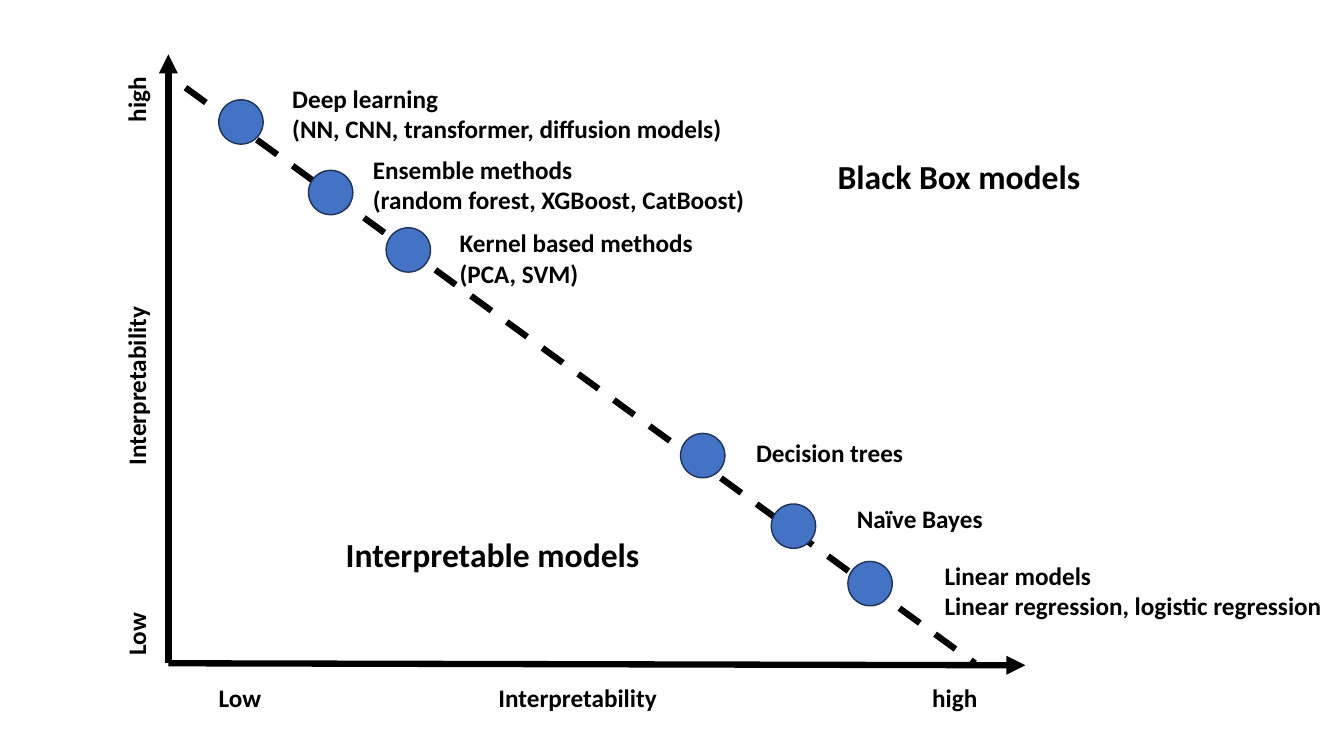
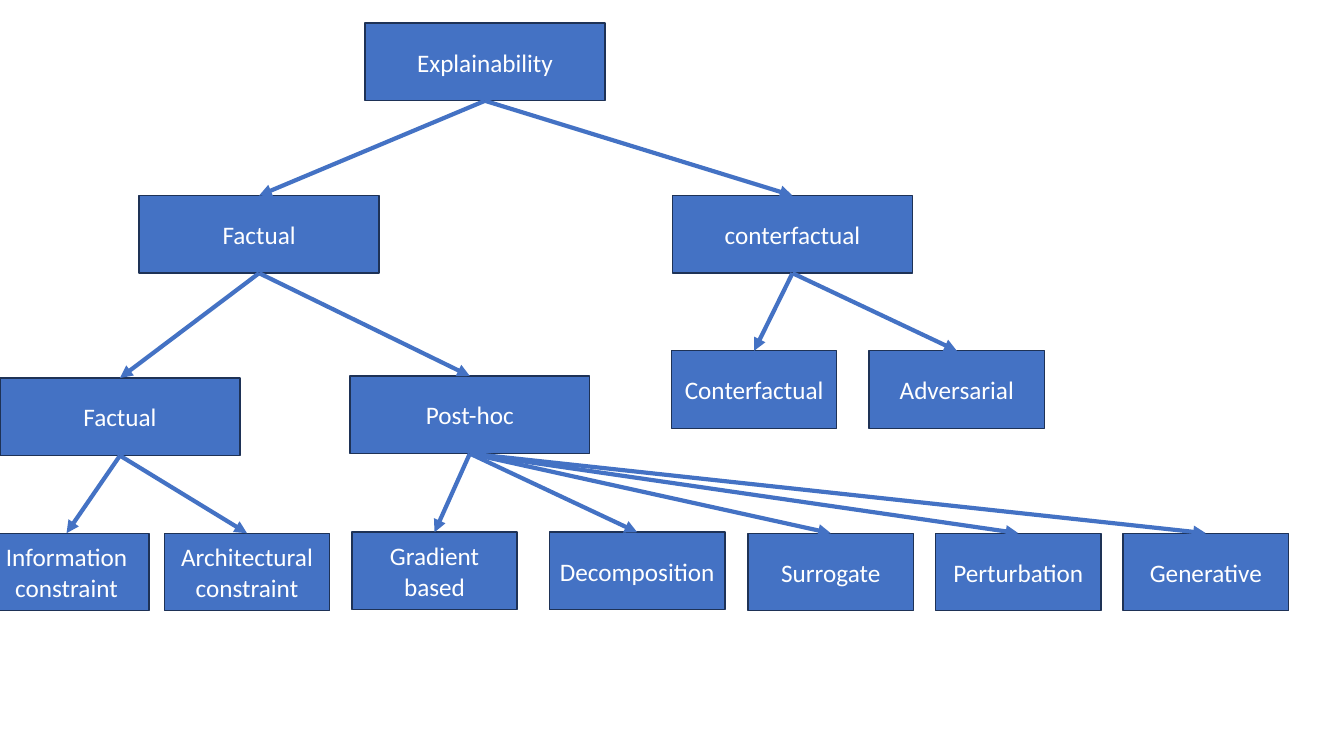
from dataclasses import dataclass

from lxml import etree
from pptx import Presentation
from pptx.dml.color import RGBColor
from pptx.enum.dml import MSO_LINE_DASH_STYLE as Dash
from pptx.enum.shapes import MSO_CONNECTOR as Connector
from pptx.enum.shapes import MSO_SHAPE as Preset
from pptx.enum.text import MSO_ANCHOR as Anchor
from pptx.enum.text import MSO_AUTO_SIZE as AutoSize
from pptx.enum.text import PP_ALIGN as Align
from pptx.oxml.ns import qn
from pptx.shapes.autoshape import Shape
from pptx.shapes.connector import Connector as Line
from pptx.slide import Slide
from pptx.text.text import TextFrame
from pptx.util import Inches, Pt

# Shared style
BLACK = RGBColor(0x00, 0x00, 0x00)
WHITE = RGBColor(0xFF, 0xFF, 0xFF)
BLUE = RGBColor(0x44, 0x72, 0xC4)
NAVY = RGBColor(0x1E, 0x32, 0x56)
FONT = "Calibri"
BODY_SIZE = 18
HEADING_SIZE = 24

# Chart and tree measures, in inches
DOT_SIZE = 0.44
LABEL_WIDTH = 4.55
BOX_HEIGHT = 0.77
WIDE, MEDIUM, NARROW = 2.38, 1.74, 1.64
LEAF_TOP = 5.29
BOTTOM, TOP = 2, 0


@dataclass(frozen=True)
class Model:
    dot_left: float
    dot_top: float
    label_left: float
    label_top: float
    label: str


@dataclass(frozen=True)
class AxisLabel:
    center_x: float
    center_y: float
    width: float
    text: str
    rotation: int = 0


@dataclass(frozen=True)
class Node:
    text: str
    left: float
    top: float
    width: float = WIDE
    children: tuple["Node", ...] = ()


MODELS = (
    Model(2.17, 0.99, 2.8, 0.78,
          "Deep learning\n(NN, CNN, transformer, diffusion models)"),
    Model(3.06, 1.69, 3.6, 1.48,
          "Ensemble methods\n(random forest, XGBoost, CatBoost)"),
    Model(3.83, 2.26, 4.46, 2.21, "Kernel based methods\n(PCA, SVM)"),
    Model(6.75, 4.3, 7.4, 4.29, "Decision trees"),
    Model(7.65, 5, 8.4, 4.94, "Naïve Bayes"),
    Model(8.41, 5.57, 9.27, 5.51,
          "Linear models\nLinear regression, logistic regression"),
)

AXIS_LABELS = (
    AxisLabel(2.38, 6.92, 1.25, "Low"),
    AxisLabel(5.73, 6.92, 2.87, "Interpretability"),
    AxisLabel(9.47, 6.92, 1.25, "high"),
    AxisLabel(1.35, 6.29, 1.25, "Low", 270),
    AxisLabel(1.35, 3.83, 2.87, "Interpretability", 270),
    AxisLabel(1.35, 0.99, 1.25, "high", 270),
)

TREE = Node("Explainability", 3.62, 0.23, children=(
    Node("Factual", 1.38, 1.94, children=(
        Node("Factual", 0, 3.75, children=(
            Node("Information constraint", -0.16, LEAF_TOP, NARROW),
            Node("Architectural constraint", 1.63, LEAF_TOP, NARROW),
        )),
        Node("Post-hoc", 3.47, 3.73, children=(
            Node("Gradient based", 3.49, 5.28, NARROW),
            Node("Decomposition", 5.45, 5.28, MEDIUM),
            Node("Surrogate", 7.42, LEAF_TOP, NARROW),
            Node("Perturbation", 9.28, LEAF_TOP, NARROW),
            Node("Generative", 11.14, LEAF_TOP, NARROW),
        )),
    )),
    Node("conterfactual", 6.67, 1.94, children=(
        Node("Conterfactual", 6.66, 3.48, NARROW),
        Node("Adversarial", 8.62, 3.48, MEDIUM),
    )),
))


def write(frame: TextFrame, text: str, color: RGBColor, align: Align,
          size: int = BODY_SIZE, bold: bool = False) -> None:
    frame.text = text
    frame.word_wrap = True
    for para in frame.paragraphs:
        para.alignment = align
        for span in para.runs:
            span.font.name = FONT
            span.font.size = Pt(size)
            span.font.bold = bold
            span.font.color.rgb = color


def add_label(slide: Slide, left: float, top: float, width: float, text: str,
              size: int = BODY_SIZE, align: Align = Align.LEFT) -> Shape:
    line_count = text.count("\n") + 1
    height = 0.1 + line_count * size / 60
    label = slide.shapes.add_textbox(
        Inches(left), Inches(top), Inches(width), Inches(height))
    write(label.text_frame, text, BLACK, align, size, bold=True)
    label.text_frame.auto_size = AutoSize.SHAPE_TO_FIT_TEXT
    return label


def add_blue_shape(slide: Slide, preset: Preset, left: float, top: float,
                   width: float, height: float) -> Shape:
    shape = slide.shapes.add_shape(
        preset, Inches(left), Inches(top), Inches(width), Inches(height))
    shape.shadow.inherit = False
    shape.fill.solid()
    shape.fill.fore_color.rgb = BLUE
    shape.line.color.rgb = NAVY
    shape.line.width = Pt(1)
    return shape


def add_line(slide: Slide, start: tuple[float, float], end: tuple[float, float],
             color: RGBColor, width: float, arrow: bool = True) -> Line:
    line = slide.shapes.add_connector(
        Connector.STRAIGHT, *(Inches(value) for value in (*start, *end)))
    line.line.color.rgb = color
    line.line.width = Pt(width)
    if arrow:
        outline = line.line._get_or_add_ln()
        etree.SubElement(outline, qn("a:tailEnd"), type="triangle")
    etree.SubElement(line._element.spPr, qn("a:effectLst"))
    return line


def add_tree(slide: Slide, node: Node) -> Shape:
    box = add_blue_shape(
        slide, Preset.RECTANGLE, node.left, node.top, node.width, BOX_HEIGHT)
    write(box.text_frame, node.text, WHITE, Align.CENTER)
    box.text_frame.vertical_anchor = Anchor.MIDDLE
    for child in node.children:
        child_box = add_tree(slide, child)
        arrow = add_line(
            slide,
            (node.left + node.width / 2, node.top + BOX_HEIGHT),
            (child.left + child.width / 2, child.top),
            BLUE, 3)
        arrow.begin_connect(box, BOTTOM)
        arrow.end_connect(child_box, TOP)
    return box


def build_model_chart(slide: Slide) -> None:
    # Axes and trade-off line
    origin = (1.67, 6.58)
    add_line(slide, origin, (1.67, 0.54), BLACK, 4.5)
    add_line(slide, origin, (10.17, 6.6), BLACK, 4.5)
    trade_off = add_line(slide, (1.84, 0.87), (9.67, 6.58), BLACK, 4.5, arrow=False)
    trade_off.line.dash_style = Dash.DASH

    # Model families along the line
    for model in MODELS:
        add_blue_shape(slide, Preset.OVAL, model.dot_left, model.dot_top,
                       DOT_SIZE, DOT_SIZE)
        add_label(slide, model.label_left, model.label_top, LABEL_WIDTH, model.label)

    # Axis captions
    for caption in AXIS_LABELS:
        label = add_label(
            slide, caption.center_x - caption.width / 2, caption.center_y - 0.2,
            caption.width, caption.text, align=Align.CENTER)
        label.rotation = caption.rotation

    # Region headings
    add_label(slide, 8.21, 1.5, 4.03, "Black Box models", HEADING_SIZE)
    add_label(slide, 3.33, 5.25, 4.03, "Interpretable models", HEADING_SIZE)


def main() -> None:
    deck = Presentation()
    deck.slide_width = Inches(13.33)
    deck.slide_height = Inches(7.5)
    blank = deck.slide_layouts[6]
    build_model_chart(deck.slides.add_slide(blank))
    add_tree(deck.slides.add_slide(blank), TREE)
    deck.save("out.pptx")


if __name__ == "__main__":
    main()
